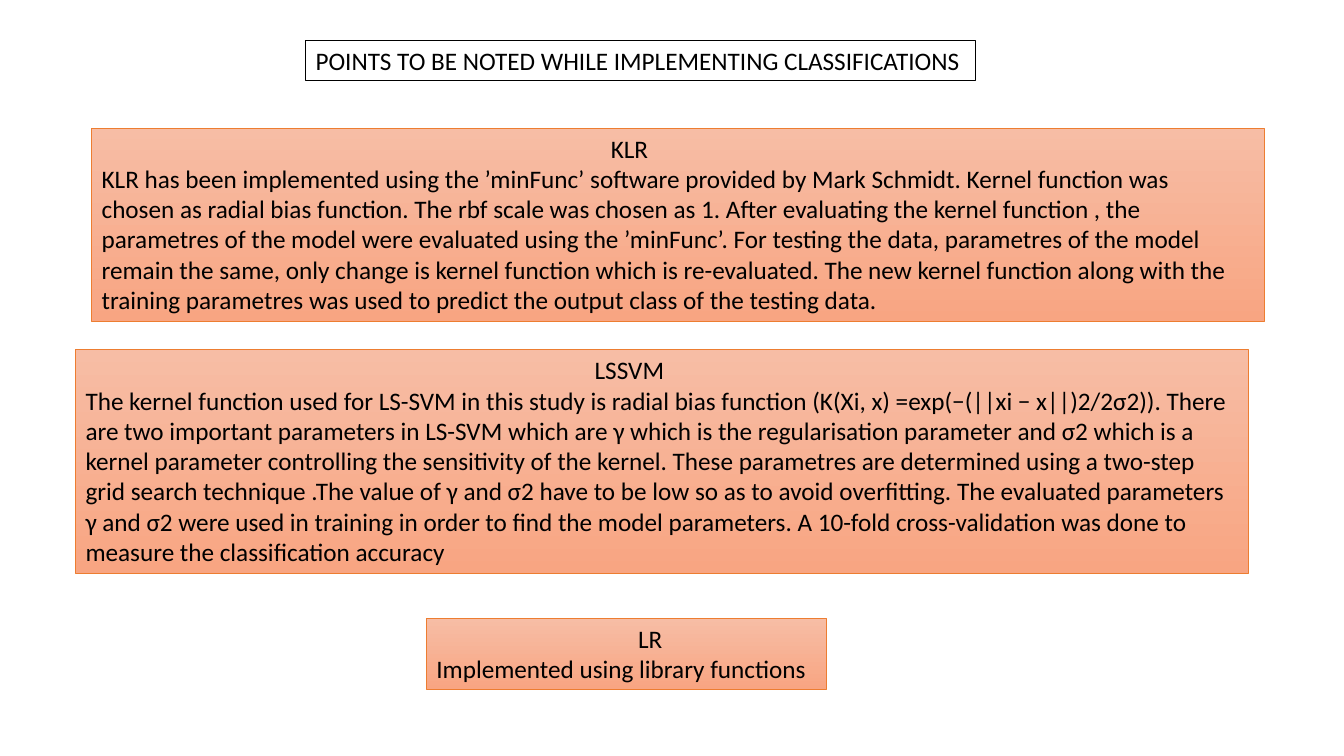
"""Build a slide of notes on implementing three classifiers."""
from pptx import Presentation
from pptx.dml.color import RGBColor
from pptx.enum import shapes, text
from pptx.util import Inches, Pt

BLACK = RGBColor(0x00, 0x00, 0x00)
ORANGE = RGBColor(0xED, 0x7D, 0x31)
PEACH_TOP = RGBColor(0xF7, 0xBD, 0xA5)
PEACH_BOTTOM = RGBColor(0xF8, 0xA5, 0x82)

KLR = [
    "KLR has been implemented using the ’minFunc’ software provided by Mark Schmidt. "
    "Kernel function was",
    "chosen as radial bias function. The rbf scale was chosen as 1. After evaluating the "
    "kernel function , the parametres of the model were evaluated using the ’minFunc’. "
    "For testing the data, parametres of the model remain the same, only change is kernel "
    "function which is re-evaluated. The new kernel function along with the training "
    "parametres was used to predict the output class of the testing data.",
]
LSSVM = [
    "The kernel function used for LS-SVM in this study is radial bias function "
    "(K(Xi, x) =exp(−(||xi − x||)2/2σ2)). There are two important parameters in LS-SVM "
    "which are γ which is the regularisation parameter and σ2 which is a kernel parameter "
    "controlling the sensitivity of the kernel. These parametres are determined using a "
    "two-step grid search technique .The value of γ and σ2 have to be low so as to avoid "
    "overfitting. The evaluated parameters γ and σ2 were used in training in order to find "
    "the model parameters. A 10-fold cross-validation was done to measure the "
    "classification accuracy",
]
LR = ["Implemented using library functions"]


def write(sp, lines):
    tf = sp.text_frame
    tf.word_wrap = True
    tf.auto_size = text.MSO_AUTO_SIZE.NONE
    tf.vertical_anchor = text.MSO_ANCHOR.TOP
    tf.text = "\n".join(lines)
    for p in tf.paragraphs:
        p.alignment = text.PP_ALIGN.LEFT
        p.font.name = "Calibri"
        p.font.size = Pt(18)
        p.font.color.rgb = BLACK


def outline(sp, color, width):
    sp.line.color.rgb = color
    sp.line.width = Pt(width)


def add_title(s, title):
    sp = s.shapes.title
    sp.left, sp.top = Inches(3.03), Inches(0.4)
    sp.width, sp.height = Inches(6.65), Inches(0.4)
    outline(sp, BLACK, 0.75)
    write(sp, [title])


def add_note(s, box, heading, indent, lines):
    sp = s.shapes.add_shape(shapes.MSO_SHAPE.RECTANGLE, *map(Inches, box))
    sp.shadow.inherit = False
    sp.fill.gradient()
    sp.fill.gradient_angle = 270
    for stop, color in zip(sp.fill.gradient_stops, (PEACH_TOP, PEACH_BOTTOM)):
        stop.color.rgb = color
    outline(sp, ORANGE, 0.5)
    write(sp, [heading, *lines])
    pPr = sp.text_frame.paragraphs[0]._p.get_or_add_pPr()
    pPr.set("marL", str(Inches(indent)))


def main():
    prs = Presentation()
    prs.slide_width, prs.slide_height = Inches(13.33), Inches(7.5)
    s = prs.slides.add_slide(prs.slide_layouts[5])
    add_title(s, "POINTS TO BE NOTED WHILE IMPLEMENTING CLASSIFICATIONS")
    add_note(s, (0.91, 1.27, 11.63, 1.92), "KLR", 5.05, KLR)
    add_note(s, (0.75, 3.47, 11.63, 2.22), "LSSVM", 5.05, LSSVM)
    add_note(s, (4.23, 6.13, 3.97, 0.71), "LR", 2, LR)
    prs.save("out.pptx")


if __name__ == "__main__":
    main()
